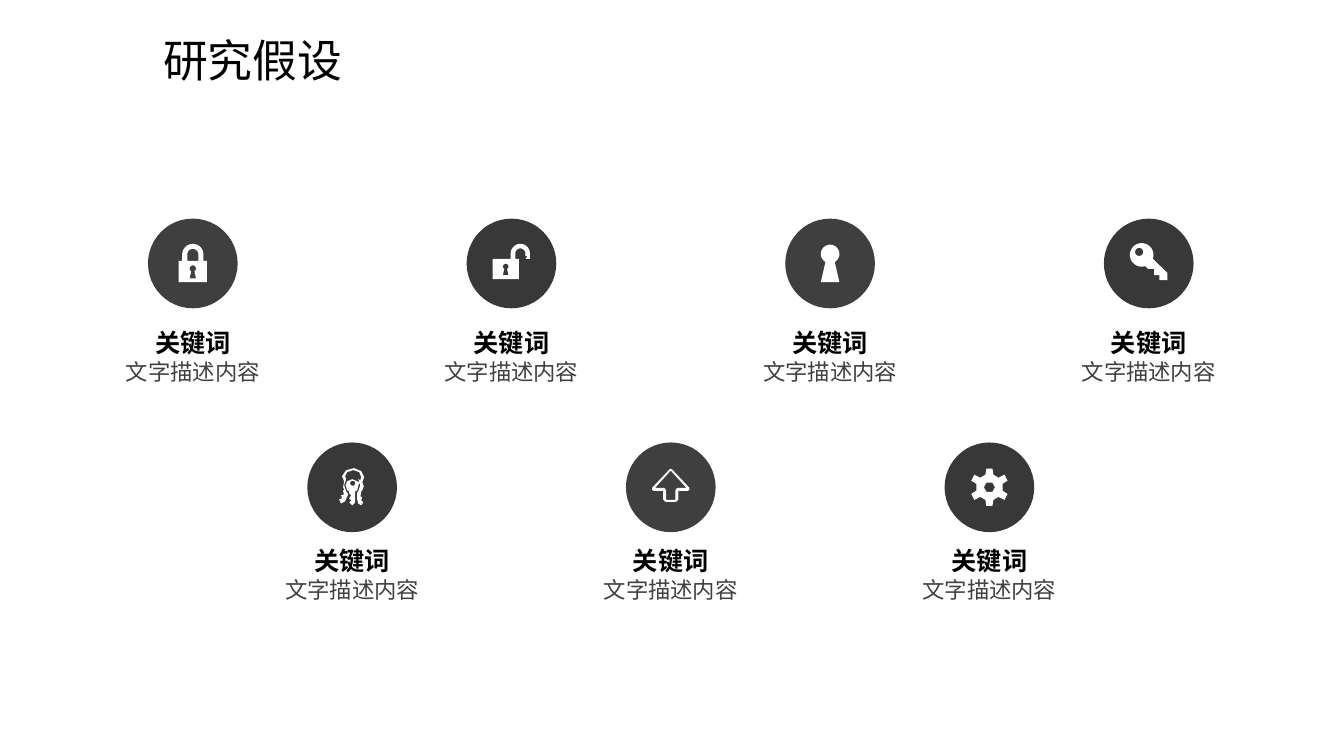
from math import cos, radians, sin

from lxml import etree
from pptx import Presentation
from pptx.dml.color import RGBColor
from pptx.enum.shapes import MSO_SHAPE
from pptx.enum.text import MSO_ANCHOR, PP_ALIGN
from pptx.oxml.ns import qn
from pptx.util import Cm, Pt

OVAL = MSO_SHAPE.OVAL
TOP, MIDDLE = MSO_ANCHOR.TOP, MSO_ANCHOR.MIDDLE
LEFT, CENTER = PP_ALIGN.LEFT, PP_ALIGN.CENTER
FONT = "Noto Sans CJK SC"
BLACK, WHITE, DARK, GREY = "000000", "FFFFFF", "3F3F3F", "404040"

CIRCLE = 2.26
CAPTION_WIDTH = 4.39
COLUMN_PITCH = 8.03
ICON_PRECISION = 10  # steps per icon unit; one unit is 0.01 inch


def color(hex_text):
    return RGBColor.from_string(hex_text)


def paint(shape, fill, opacity=100):
    shape.shadow.inherit = False
    shape.fill.solid()
    shape.fill.fore_color.rgb = color(fill)
    shape.line.fill.background()
    if opacity < 100:
        tint = shape.fill._xPr.find(qn("a:solidFill"))[0]
        etree.SubElement(tint, qn("a:alpha"), val=str(opacity * 1000))


def add_text(slide, text, left, top, width, height, size=16, fill=BLACK,
             bold=False, align=CENTER, anchor=TOP, inset=(0, 0)):
    box = slide.shapes.add_textbox(Cm(left), Cm(top), Cm(width), Cm(height))
    frame = box.text_frame
    frame.word_wrap = True
    frame.vertical_anchor = anchor
    frame.margin_left = frame.margin_right = Cm(inset[0])
    frame.margin_top = frame.margin_bottom = Cm(inset[1])
    paragraph = frame.paragraphs[0]
    paragraph.alignment = align
    run = paragraph.add_run()
    run.text = text
    run.font.size = Pt(size)
    run.font.bold = bold
    run.font.color.rgb = color(fill)
    run.font.name = FONT
    etree.SubElement(run._r.rPr, qn("a:ea"), typeface=FONT)


# Icon outlines: contours of points around the circle's centre
def arc(cx, cy, radius, start, end, steps=24):
    angles = [radians(start + (end - start) * i / steps) for i in range(steps + 1)]
    return [(cx + radius * cos(a), cy + radius * sin(a)) for a in angles]


def mirrored(right_half):
    return right_half + [(-x, y) for x, y in reversed(right_half)]


def keyhole(cx, cy, radius):
    base = cy + 3.04 * radius
    return arc(cx, cy, radius, 120, 420) + [(cx + radius, base), (cx - radius, base)]


PADLOCK = [
    mirrored(arc(0, -9, 10.5, 270, 360) + [(10.5, -2.5), (14, -2.5), (14, 18.5)]),
    mirrored(arc(0, -9, 5.5, 270, 360) + [(5.5, -2.5)]),
    keyhole(0, 5, 3.2),
]
OPEN_PADLOCK = [
    [(7.3, -4.5), (7.3, 15.5), (-18.7, 15.5), (-18.7, -4.5), (-0.7, -4.5)]
    + arc(8.8, -10, 9.5, 180, 360)
    + [(18.3, -4.5), (14.3, -4.5), (14.3, -5.5), (15.3, -6.5), (15.3, -7.5), (13.8, -7.5)]
    + arc(8.8, -10, 5, 360, 180) + [(3.8, -4.5)],
    keyhole(-5.7, 3, 2.8),
]
KEYHOLE = [keyhole(0, -9.5, 9.2)]
KEY = [
    arc(-7, -8.5, 11.7, 72, 379)
    + [(18.5, 9.5), (18.5, 16.5), (10.5, 16.5), (10.5, 11.5),
       (5.5, 11.5), (5.5, 5.5), (-0.5, 5.5)],
    arc(-9.5, -11.5, 4, 0, 360),
]
KEY_RING = [
    [(10, 3), (11.5, -1), (10, -5), (12, -10), (9, -16), (2, -19), (-6, -17),
     (-10, -11), (-8, -6), (-9, 0), (-8, 2), (-9, 4), (-8, 7), (-11, 8),
     (-10, 11), (-13, 12), (-11, 16), (-7, 14), (-4, 7), (-5, 5), (-6, 4),
     (-8, -2), (-6, -8), (-7, -11), (-5, -15), (1, -17), (7, -15), (9, -10),
     (8, -7), (6, -8), (7, -6), (6, -5), (5, -6), (0, -8), (-5, -6),
     (-6.5, -2), (-5, 3), (-3, 4), (-3, 6), (-1, 8), (-3, 11), (-1, 13),
     (-3, 15), (0, 18), (3, 15), (3, 4), (5, 3), (6.5, -3), (8, -4), (8, -2),
     (6, 4), (5, 5), (5, 12), (6, 16), (9, 18), (11, 15), (9, 13), (10, 10),
     (8, 9), (9, 6), (9, 4)],
    arc(0.5, -4, 2.5, 0, 360),
]
ARROW = [
    mirrored([(0, -18.5), (1.5, -17.5), (18.5, 0.5), (18.5, 2.5), (17, 3.5),
              (7.5, 3.5), (7.5, 12), (6, 14), (4.5, 14.5)]),
    mirrored([(0, -16.5), (15.5, 0.5), (7, 0.5), (5.5, 1.5), (4.5, 3.5),
              (4.5, 12), (4, 12.5)]),
]
GEAR = [
    mirrored([(3, -18.5), (4, -12.5), (9, -9.5), (15, -12.5), (18, -6.5),
              (13, -3.5), (13, 3.5), (18, 6.5), (15, 12.5), (9, 9.5),
              (4, 12.5), (3, 18.5)]),
    mirrored([(3, -4.5), (5.5, 0), (3, 4.5)]),
]

# Rows: centre of first circle, circle top, caption offset, icons
ROWS = [
    (4.86, 5.51, 2.74, [PADLOCK, OPEN_PADLOCK, KEYHOLE, KEY]),
    (4.86 + COLUMN_PITCH / 2, 11.15, 2.59, [KEY_RING, ARROW, GEAR]),
]


def add_icon(slide, contours, center_x, center_y):
    scaled = [[(x * ICON_PRECISION, y * ICON_PRECISION) for x, y in contour]
              for contour in contours]
    builder = slide.shapes.build_freeform(*scaled[0][0],
                                          scale=Cm(2.54) / 100 / ICON_PRECISION)
    builder.add_line_segments(scaled[0][1:], close=True)
    for hole in scaled[1:]:
        builder.move_to(*hole[0])
        builder.add_line_segments(hole[1:], close=True)
    paint(builder.convert_to_shape(Cm(center_x), Cm(center_y)), WHITE)


def add_keyword(slide, icon, center_x, top, caption_offset, solid):
    # Badge
    badge = slide.shapes.add_shape(OVAL, Cm(center_x - CIRCLE / 2), Cm(top),
                                   Cm(CIRCLE), Cm(CIRCLE))
    if solid:
        paint(badge, DARK)
    else:
        paint(badge, BLACK, opacity=78)
    add_icon(slide, icon, center_x, top + CIRCLE / 2)

    # Caption
    left = center_x - CAPTION_WIDTH / 2
    caption_top = top + caption_offset
    add_text(slide, "关键词", left, caption_top, CAPTION_WIDTH, 0.77, size=18, bold=True)
    add_text(slide, "文字描述内容", left, caption_top + 0.77, CAPTION_WIDTH, 0.68, fill=GREY)


def add_title(slide, left, top, width, height):
    add_text(slide, "研究假设", left, top, width, height, size=32,
             align=LEFT, anchor=MIDDLE, inset=(0.25, 0.13))


def main():
    deck = Presentation()
    deck.slide_width, deck.slide_height = Cm(33.87), Cm(19.05)
    slide = deck.slides.add_slide(deck.slide_layouts[6])
    add_title(slide, 3.86, 0.69, 19.76, 1.63)
    for row, (first_x, top, caption_offset, icons) in enumerate(ROWS):
        for column, icon in enumerate(icons):
            add_keyword(slide, icon, first_x + column * COLUMN_PITCH, top,
                        caption_offset, solid=(row + column) % 2 == 0)
    deck.save("out.pptx")


if __name__ == "__main__":
    main()
